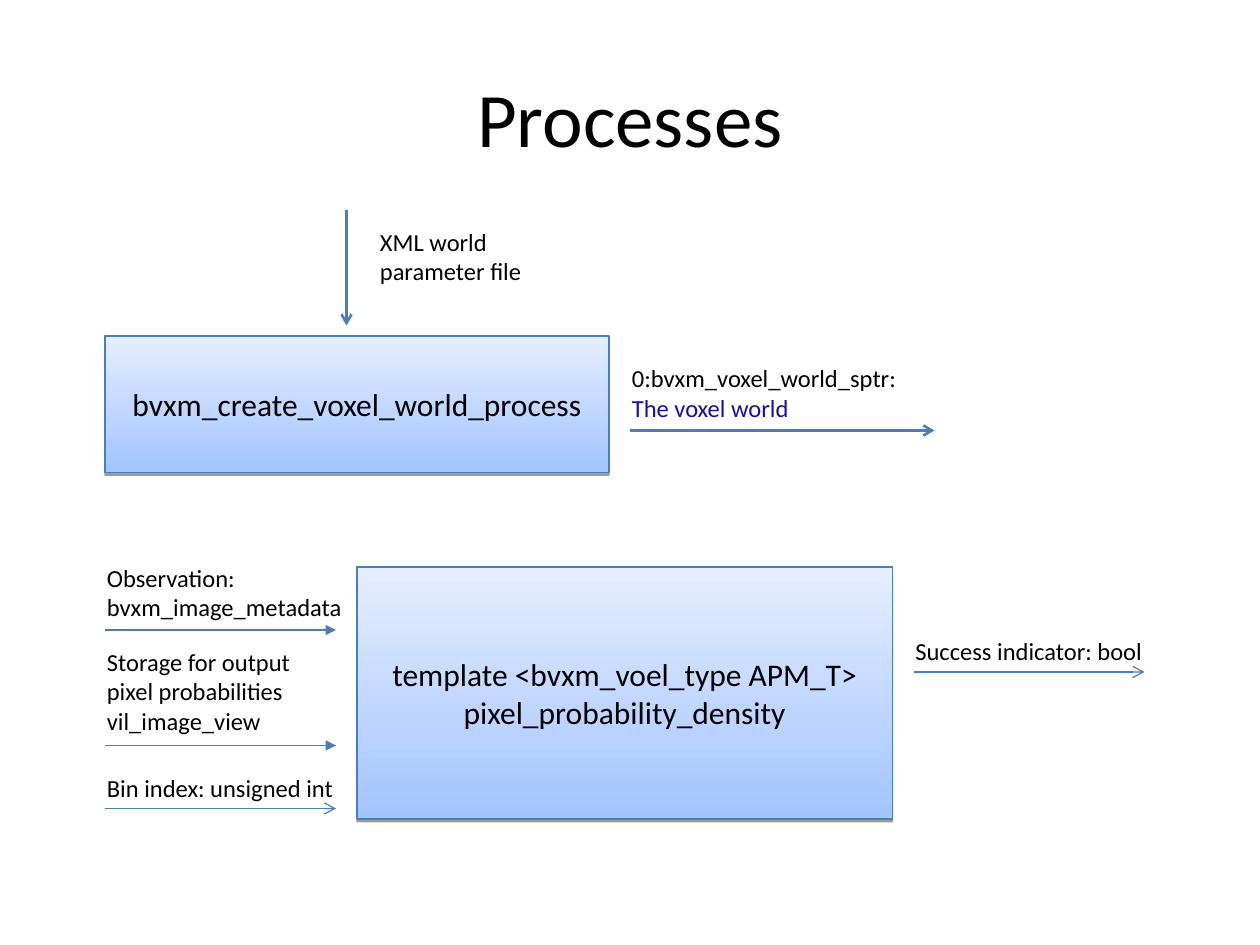
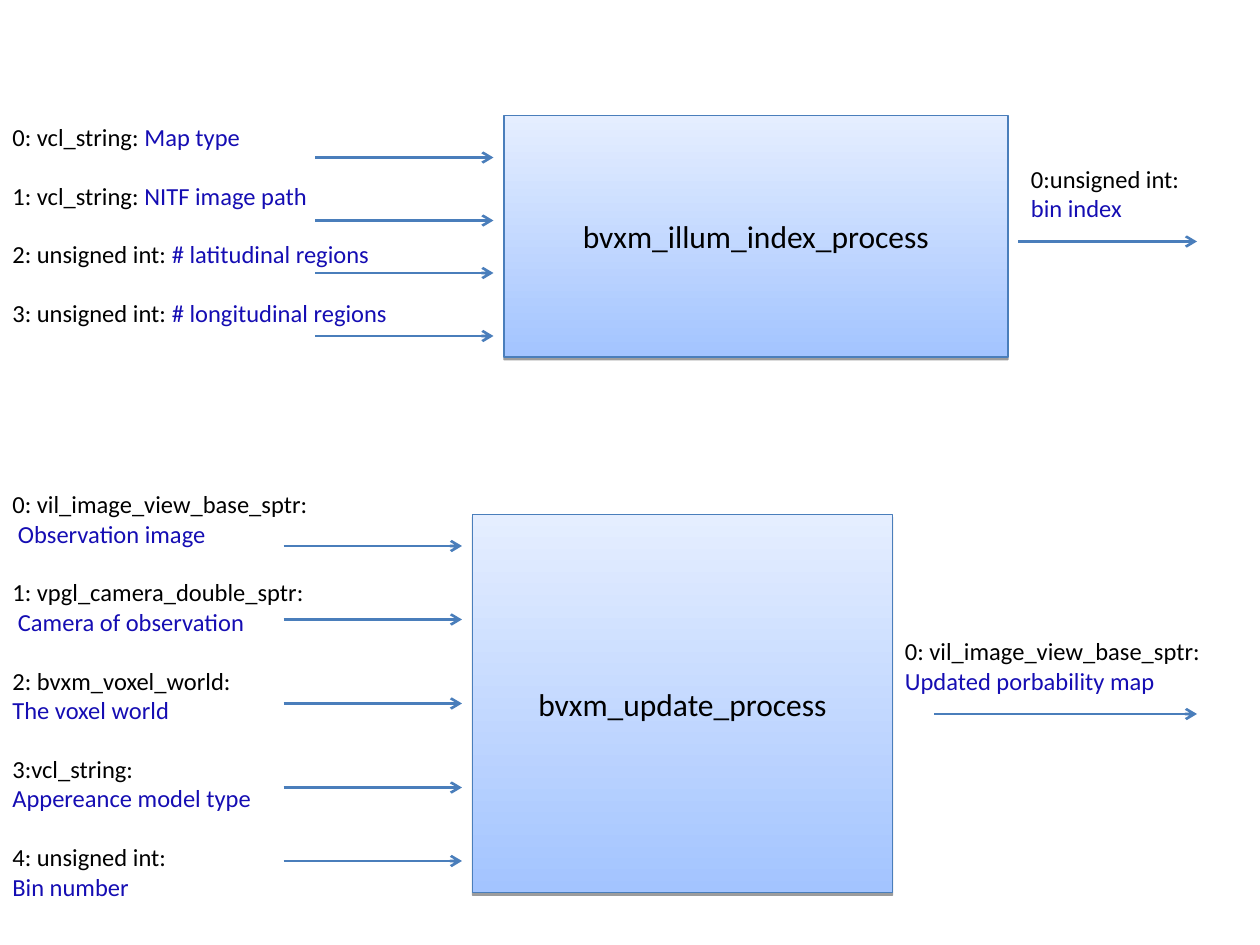
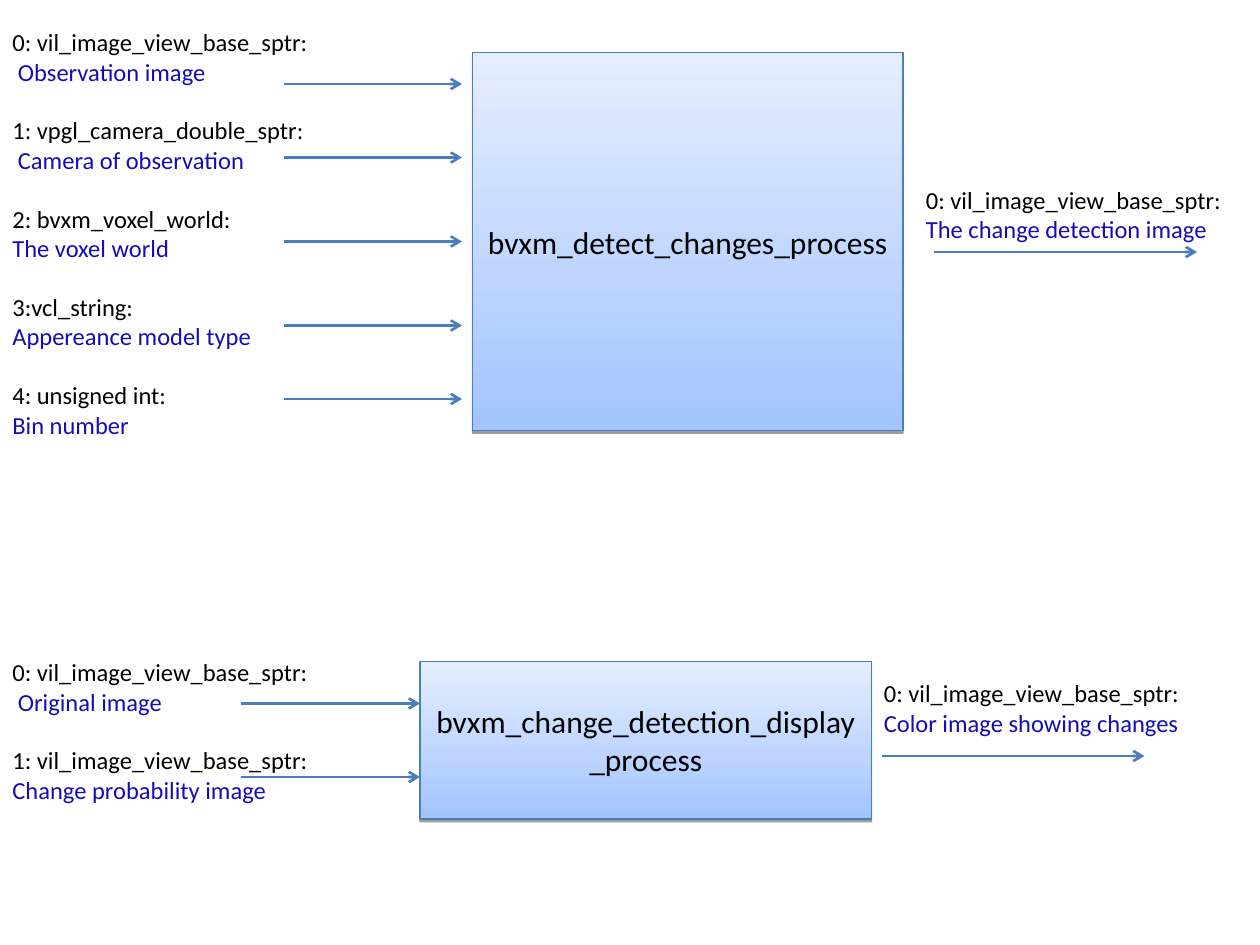
from lxml.etree import SubElement
from pptx import Presentation
from pptx.dml.color import RGBColor
from pptx.enum.shapes import MSO_CONNECTOR, MSO_SHAPE
from pptx.enum.text import MSO_ANCHOR, PP_ALIGN
from pptx.oxml.ns import qn
from pptx.util import Inches, Pt

BLACK = RGBColor(0x00, 0x00, 0x00)
VALUE_BLUE = RGBColor(0x15, 0x0D, 0xB3)
LINE_BLUE = RGBColor(0x4A, 0x7E, 0xBB)
BOX_BOTTOM = RGBColor(0xA3, 0xC4, 0xFF)
BOX_TOP = RGBColor(0xE5, 0xEE, 0xFF)
FONT = "Calibri"
COLS, ROWS = 120, 90
CELL = Inches(10) // COLS
LABEL_GAP = 16.8
THIN, THICK = 0.75, 1.5

IMAGE_VIEW = "0: vil_image_view_base_sptr:"
MODEL_INPUTS = [
    (IMAGE_VIEW, " Observation image"),
    ("1: vpgl_camera_double_sptr:", " Camera of observation"),
    ("2: bvxm_voxel_world:", "The voxel world"),
    ("3:vcl_string:", "Appereance model type"),
    ("4: unsigned int:", "Bin number"),
]
MODEL_ARROW_ROWS = (6, 13, 21, 29, 36)


def arrows(left, right, rows):
    return [(left, row, right, row) for row in rows]


def model_arrows(top):
    return arrows(27, 44, [top + row for row in MODEL_ARROW_ROWS])


# Boxes and labels: column, row, columns wide, rows high.
# Arrows: start column, start row, end column, end row, optional head.
# A label is a list of (type, value); a type ending in a space shares its line.
SLIDES = [
    ("Processes", [
        dict(name=["template <bvxm_voel_type APM_T>", "pixel_probability_density"],
             box=(34, 54, 51, 24), weight=THIN,
             labels=[((9, 53, 25, 7), [("Observation: bvxm_image_metadata",)]),
                     ((9, 61, 24, 10),
                      [("Storage for output pixel probabilities vil_image_view",)]),
                     ((9, 73, 26, 4), [("Bin index: unsigned int",)]),
                     ((86, 60, 25, 4), [("Success indicator: bool",)])],
             arrows=[(10, 60, 32, 60, "triangle"), (10, 71, 32, 71, "triangle"),
                     (10, 77, 32, 77), (87, 64, 109, 64)]),
        dict(name=["bvxm_create_voxel_world_process"],
             box=(10, 32, 48, 13), weight=THICK,
             labels=[((59, 34, 37, 7), [("0:bvxm_voxel_world_sptr:", "The voxel world")]),
                     ((35, 21, 22, 7), [("XML world parameter file",)])],
             arrows=[(60, 41, 89, 41), (33, 20, 33, 31)]),
    ]),
    (None, [
        dict(name=["bvxm_illum_index_process"],
             box=(48, 11, 48, 23), weight=THICK,
             labels=[((0, 11, 49, 21),
                      [("0: vcl_string: ", "Map type"),
                       ("1: vcl_string: ", "NITF image path"),
                       ("2: unsigned int: ", "# latitudinal regions"),
                       ("3: unsigned int: ", "# longitudinal regions")]),
                     ((97, 15, 21, 7), [("0:unsigned int:", "bin index")])],
             arrows=arrows(30, 47, (15, 21, 26, 32)) + [(97, 23, 114, 23)]),
        dict(name=["bvxm_update_process"],
             box=(45, 49, 40, 36), weight=THICK,
             labels=[((0, 46, 49, 40), MODEL_INPUTS),
                     ((85, 60, 35, 7), [(IMAGE_VIEW, "Updated porbability map")])],
             arrows=model_arrows(46) + [(89, 68, 114, 68)]),
    ]),
    (None, [
        dict(name=["bvxm_detect_changes_process"],
             box=(45, 5, 41, 36), weight=THICK,
             labels=[((0, 2, 49, 40), MODEL_INPUTS),
                     ((87, 17, 35, 7), [(IMAGE_VIEW, "The change detection image")])],
             arrows=model_arrows(2) + [(89, 24, 114, 24)]),
        dict(name=["bvxm_change_detection_display_process"],
             box=(40, 63, 43, 15), weight=THICK,
             labels=[((0, 62, 49, 18),
                      [(IMAGE_VIEW, " Original image"),
                       ("1: vil_image_view_base_sptr:", "Change probability image")]),
                     ((83, 64, 35, 7), [(IMAGE_VIEW, "Color image showing changes")])],
             arrows=arrows(23, 40, (67, 74)) + [(84, 72, 109, 72)]),
    ]),
]


def write(tf, paragraphs, size=14, align=PP_ALIGN.LEFT, anchor=MSO_ANCHOR.TOP):
    """Fill a text frame; each paragraph is (space before, [(text, colour), ...])."""
    tf.word_wrap = True
    tf.vertical_anchor = anchor
    for i, (gap, runs) in enumerate(paragraphs):
        p = tf.add_paragraph() if i else tf.paragraphs[0]
        p.alignment = align
        p.space_before = Pt(gap)
        for text, color in runs:
            r = p.add_run()
            r.text = text
            r.font.name, r.font.size = FONT, Pt(size)
            r.font.color.rgb = color


def write_centred(tf, lines, size):
    write(tf, [(0, [(line, BLACK)]) for line in lines], size=size,
          align=PP_ALIGN.CENTER, anchor=MSO_ANCHOR.MIDDLE)


def label_paragraphs(entries):
    paragraphs = []
    for i, entry in enumerate(entries):
        runs = list(zip(entry, (BLACK, VALUE_BLUE)))
        gap = LABEL_GAP if i else 0
        if entry[0].endswith(" "):
            paragraphs.append((gap, runs))
        else:
            paragraphs.append((gap, runs[:1]))
            paragraphs += [(0, [run]) for run in runs[1:]]
    return paragraphs


def on_grid(cells):
    return [CELL * n for n in cells]


def add_box(slide, at, lines):
    sp = slide.shapes.add_shape(MSO_SHAPE.RECTANGLE, *on_grid(at))
    sp.fill.gradient()
    sp.fill.gradient_angle = 90
    for stop, color, position in zip(sp.fill.gradient_stops, (BOX_BOTTOM, BOX_TOP), (0, 1)):
        stop.color.rgb = color
        stop.position = position
    sp.line.color.rgb = LINE_BLUE
    sp.line.width = Pt(0.75)
    sp.shadow.inherit = False
    effects = sp._element.spPr.find(qn("a:effectLst"))
    shadow = SubElement(effects, qn("a:outerShdw"), dist=str(Pt(1.6)),
                        dir="5400000", rotWithShape="0")
    black = SubElement(shadow, qn("a:srgbClr"), val=str(BLACK))
    SubElement(black, qn("a:alpha"), val="38000")
    write_centred(sp.text_frame, lines, 18)


def add_arrow(slide, weight, x1, y1, x2, y2, head="arrow"):
    line = slide.shapes.add_connector(MSO_CONNECTOR.STRAIGHT, *on_grid((x1, y1, x2, y2)))
    line.line.color.rgb = LINE_BLUE
    line.line.width = Pt(weight)
    SubElement(line.line._get_or_add_ln(), qn("a:tailEnd"), type=head)
    SubElement(line._element.spPr, qn("a:effectLst"))


def add_process(slide, process):
    add_box(slide, process["box"], process["name"])
    for at, entries in process["labels"]:
        sp = slide.shapes.add_textbox(*on_grid(at))
        write(sp.text_frame, label_paragraphs(entries))
    for arrow in process["arrows"]:
        add_arrow(slide, process["weight"], *arrow)


def add_title(slide, text):
    title = slide.shapes.title
    title.left, title.top, title.width, title.height = map(Inches, (0.5, 0.3, 9, 1.25))
    write_centred(title.text_frame, [text], 44)


def main():
    prs = Presentation()
    prs.slide_width, prs.slide_height = CELL * COLS, CELL * ROWS
    title_only, blank = prs.slide_layouts[5], prs.slide_layouts[6]
    for title, processes in SLIDES:
        slide = prs.slides.add_slide(title_only if title else blank)
        if title:
            add_title(slide, title)
        for process in processes:
            add_process(slide, process)
    prs.save("out.pptx")


if __name__ == "__main__":
    main()
